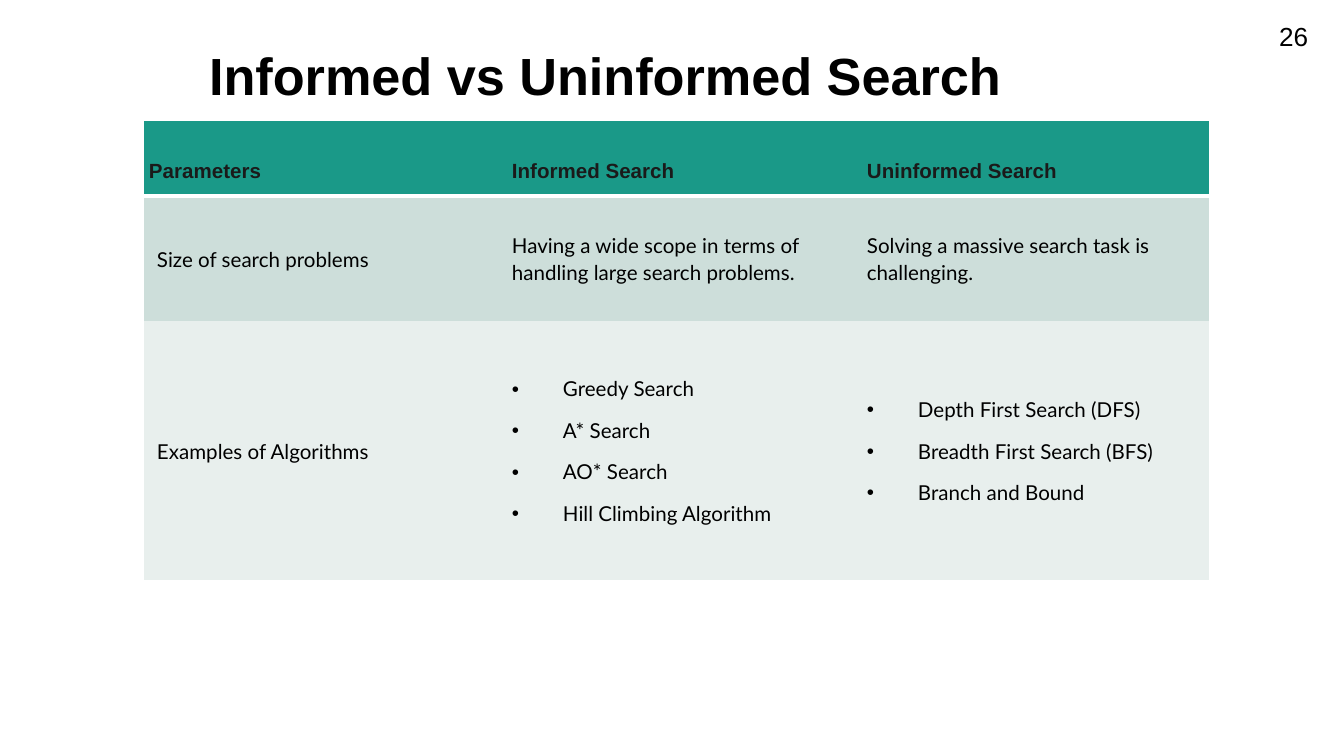
from lxml.etree import SubElement
from pptx import Presentation
from pptx.dml.color import RGBColor
from pptx.enum.text import MSO_ANCHOR, MSO_AUTO_SIZE, PP_ALIGN
from pptx.oxml import parse_xml
from pptx.oxml.ns import nsdecls, qn
from pptx.util import Emu, Pt

SLIDE_WIDTH, SLIDE_HEIGHT = 1344, 756
EMU_PER_PX = 9144000 / SLIDE_WIDTH
NO_STYLE_NO_GRID = "{2D5ABB26-0587-4C30-8999-92F81FD0307C}"

COLUMN_WIDTH = 355
ROW_HEIGHTS = [75, 125, 259]
ROW_FILLS = ["1A9988", "CDDEDA", "E8EFED"]
COMPARISON = [
    [["Parameters"], ["Informed Search"], ["Uninformed Search"]],
    [
        ["Size of search problems"],
        ["Having a wide scope in terms of handling large search problems."],
        ["Solving a massive search task is challenging."],
    ],
    [
        ["Examples of Algorithms"],
        ["Greedy Search", "A* Search", "AO* Search", "Hill Climbing Algorithm"],
        ["Depth First Search (DFS)", "Breadth First Search (BFS)", "Branch and Bound"],
    ],
]


def px(length):
    return Emu(round(length * EMU_PER_PX))


def color(hex_value):
    return RGBColor.from_string(hex_value)


def add_run(paragraph, text, size, font_name="Arial", hex_value="000000", bold=False):
    run = paragraph.add_run()
    run.text = text
    run.font.size = Pt(size)
    run.font.name = font_name
    run.font.bold = bold
    run.font.color.rgb = color(hex_value)


def add_label(slide, box, text, size, align, wrap, inset, bold=False):
    label = slide.shapes.add_textbox(*map(px, box))
    frame = label.text_frame
    frame.word_wrap = wrap
    frame.auto_size = MSO_AUTO_SIZE.NONE if wrap else MSO_AUTO_SIZE.SHAPE_TO_FIT_TEXT
    frame.margin_top = frame.margin_bottom = px(inset)
    paragraph = frame.paragraphs[0]
    paragraph.alignment = align
    add_run(paragraph, text, size, bold=bold)


def add_bullet(paragraph):
    properties = paragraph._p.get_or_add_pPr()
    properties.set("marL", str(px(51)))
    properties.set("indent", str(px(-51)))
    bullet_color = SubElement(properties, qn("a:buClr"))
    SubElement(bullet_color, qn("a:srgbClr"), val="000000")
    SubElement(properties, qn("a:buFont"), typeface="Arial")
    SubElement(properties, qn("a:buChar"), char="•")
    tabs = SubElement(properties, qn("a:tabLst"))
    SubElement(tabs, qn("a:tab"), pos=str(px(67)), algn="l")


def add_bottom_border(cell, hex_value, width):
    border = parse_xml(
        f'<a:lnB {nsdecls("a")} w="{Pt(width)}"><a:solidFill>'
        f'<a:srgbClr val="{hex_value}"/></a:solidFill></a:lnB>'
    )
    cell._tc.get_or_add_tcPr().insert(0, border)


def fill_cell(cell, lines, fill, is_header, side_inset):
    cell.fill.solid()
    cell.fill.fore_color.rgb = color(fill)
    cell.vertical_anchor = MSO_ANCHOR.BOTTOM if is_header else MSO_ANCHOR.MIDDLE
    cell.margin_left = cell.margin_right = px(side_inset)
    cell.margin_top = cell.margin_bottom = px(13 if is_header else 20)
    frame = cell.text_frame
    for index, line in enumerate(lines):
        paragraph = frame.add_paragraph() if index else frame.paragraphs[0]
        if len(lines) > 1:
            add_bullet(paragraph)
        paragraph.line_spacing = 1.07
        paragraph.space_after = Pt(8)
        if is_header:
            add_run(paragraph, line, 11, hex_value="1A1A1A", bold=True)
        else:
            add_run(paragraph, line, 11, "Lato")
    if is_header:
        add_bottom_border(cell, "FFFFFF", 2)


def add_comparison_table(slide, left, top):
    columns = len(COMPARISON[0])
    frame = slide.shapes.add_table(
        len(COMPARISON), columns, px(left), px(top),
        px(COLUMN_WIDTH * columns), px(sum(ROW_HEIGHTS)),
    )
    table = frame.table
    table.first_row = True
    table.horz_banding = False
    table._tbl.tblPr.find(qn("a:tableStyleId")).text = NO_STYLE_NO_GRID
    for column in table.columns:
        column.width = px(COLUMN_WIDTH)
    for r, (contents, height, fill) in enumerate(zip(COMPARISON, ROW_HEIGHTS, ROW_FILLS)):
        table.rows[r].height = px(height)
        for c, lines in enumerate(contents):
            is_header = r == 0
            side_inset = 5 if is_header and c == 0 else 13
            fill_cell(table.cell(r, c), lines, fill, is_header, side_inset)


def main():
    presentation = Presentation()
    presentation.slide_width = px(SLIDE_WIDTH)
    presentation.slide_height = px(SLIDE_HEIGHT)
    slide = presentation.slides.add_slide(presentation.slide_layouts[6])

    # Title and slide number
    add_label(slide, (0, 31, 1210, 126), "Informed vs Uninformed Search", 28,
              PP_ALIGN.CENTER, wrap=True, inset=12, bold=True)
    add_label(slide, (1266, 13, 56, 45), "26", 14, PP_ALIGN.LEFT, wrap=False, inset=7)

    # Comparison of the two kinds of search
    add_comparison_table(slide, 144, 121)

    presentation.save("out.pptx")


if __name__ == "__main__":
    main()
